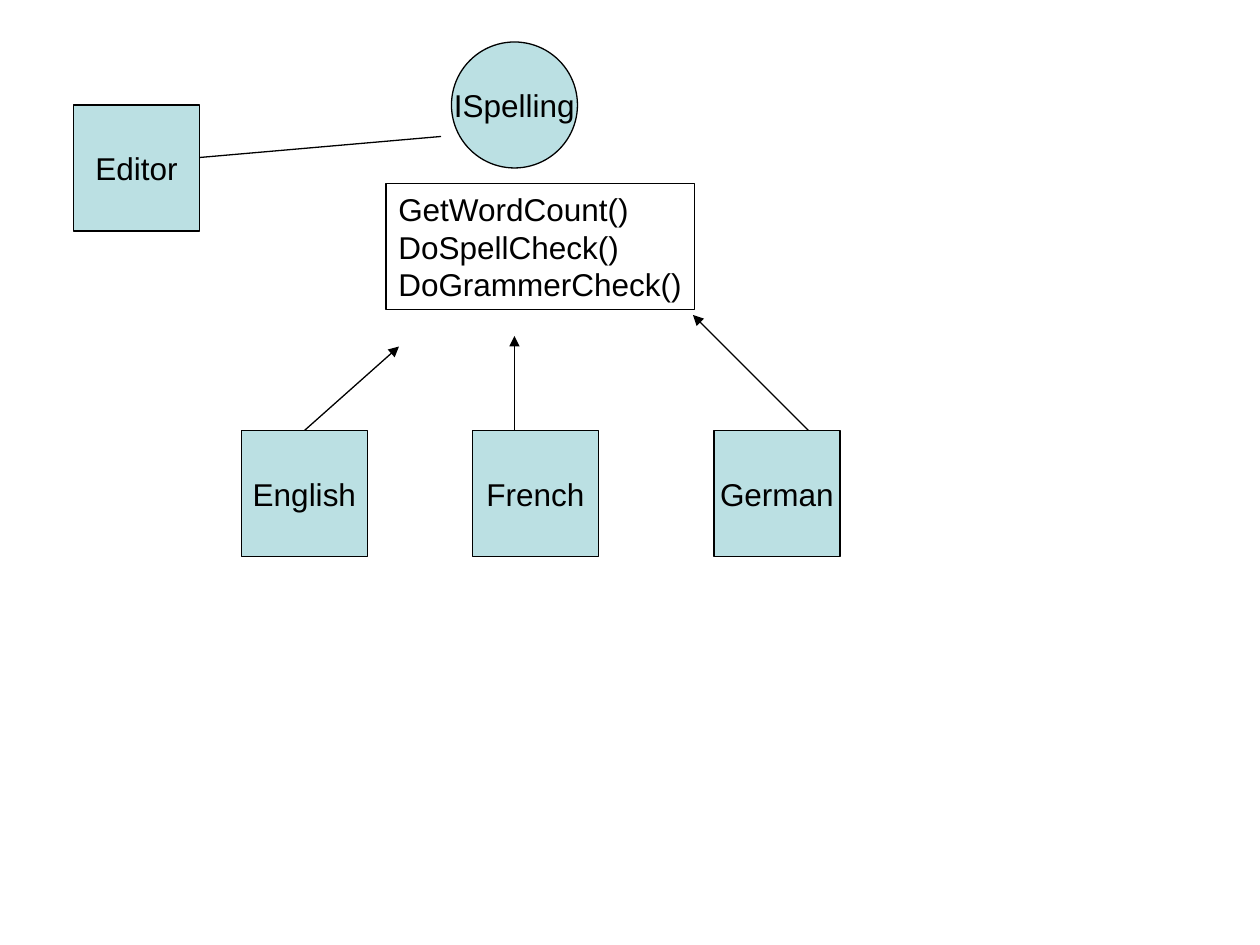
from lxml.etree import SubElement
from pptx import Presentation
from pptx.dml.color import RGBColor
from pptx.enum.shapes import MSO_CONNECTOR as Connector, MSO_SHAPE as Shape
from pptx.enum.text import MSO_ANCHOR as Anchor, MSO_AUTO_SIZE as AutoSize, PP_ALIGN as Align
from pptx.oxml.ns import qn
from pptx.util import Inches, Pt

BLACK = RGBColor(0x00, 0x00, 0x00)
PALE_TEAL = RGBColor(0xBB, 0xE0, 0xE3)
CELL = Inches(1) / 12
NODE = 12


def cells(*counts):
    """Turn counts of grid cells into slide lengths."""
    return [round(count * CELL) for count in counts]


def outline(line):
    """Give a line the thin black stroke of the diagram."""
    line.color.rgb = BLACK
    line.width = Pt(0.75)


def write(frame, lines, align):
    """Write each line as a paragraph with one run."""
    frame.word_wrap = False
    for index, text in enumerate(lines):
        para = frame.paragraphs[0] if index == 0 else frame.add_paragraph()
        para.alignment = align
        span = para.add_run()
        span.text = text
        span.font.name = "Arial"
        span.font.size = Pt(18)
        span.font.color.rgb = BLACK


def add_node(page, name, left, top, kind=Shape.RECTANGLE):
    """Add a filled node, one inch square, with its name in the middle."""
    node = page.shapes.add_shape(kind, *cells(left, top, NODE, NODE))
    node.shadow.inherit = False
    node.fill.solid()
    node.fill.fore_color.rgb = PALE_TEAL
    outline(node.line)
    node.text_frame.vertical_anchor = Anchor.MIDDLE
    write(node.text_frame, [name], Align.CENTER)
    return node


def add_link(page, start, end, arrow=True):
    """Add a straight link between two grid points."""
    link = page.shapes.add_connector(Connector.STRAIGHT, *cells(*start, *end))
    outline(link.line)
    properties = link._element.spPr
    if arrow:
        SubElement(properties.find(qn("a:ln")), qn("a:tailEnd"), type="triangle")
    SubElement(properties, qn("a:effectLst"))
    return link


def add_interface(page, left, top, width, height):
    """Add the interface circle above the list of its methods."""
    add_node(page, "ISpelling", left + 6.25, top, Shape.OVAL)
    methods = page.shapes.add_textbox(*cells(left, top + 13.5, width, height - 13.5))
    outline(methods.line)
    write(methods.text_frame, ["GetWordCount()", "DoSpellCheck()", "DoGrammerCheck()"], Align.LEFT)
    methods.text_frame.auto_size = AutoSize.SHAPE_TO_FIT_TEXT


def add_client(page, left, top):
    """Add the editor and its link to the interface."""
    add_node(page, "Editor", left, top)
    add_link(page, (left + NODE, top + 5), (left + 35, top + 3), arrow=False)


def add_languages(page, left, top):
    """Add the row of language nodes with arrows up to the interface."""
    languages = [
        ("English", 0, 6, (15, -8)),
        ("French", 22, 26, (26, -9)),
        ("German", 45, 54, (43, -11)),
    ]
    for name, offset, foot, (across, rise) in languages:
        node = add_node(page, name, left + offset, top)
        link = add_link(page, (left + foot, top), (left + across, top + rise))
        if foot == offset + NODE / 2:
            link.begin_connect(node, 0)


def main():
    """Build the deck with its one class diagram."""
    deck = Presentation()
    deck.slide_width, deck.slide_height = Inches(10), Inches(7.5)
    page = deck.slides.add_slide(deck.slide_layouts[6])
    add_interface(page, 36.75, 4, 29.4, 25.5)
    add_languages(page, 23, 41)
    add_client(page, 7, 10)
    deck.save("out.pptx")


if __name__ == "__main__":
    main()
